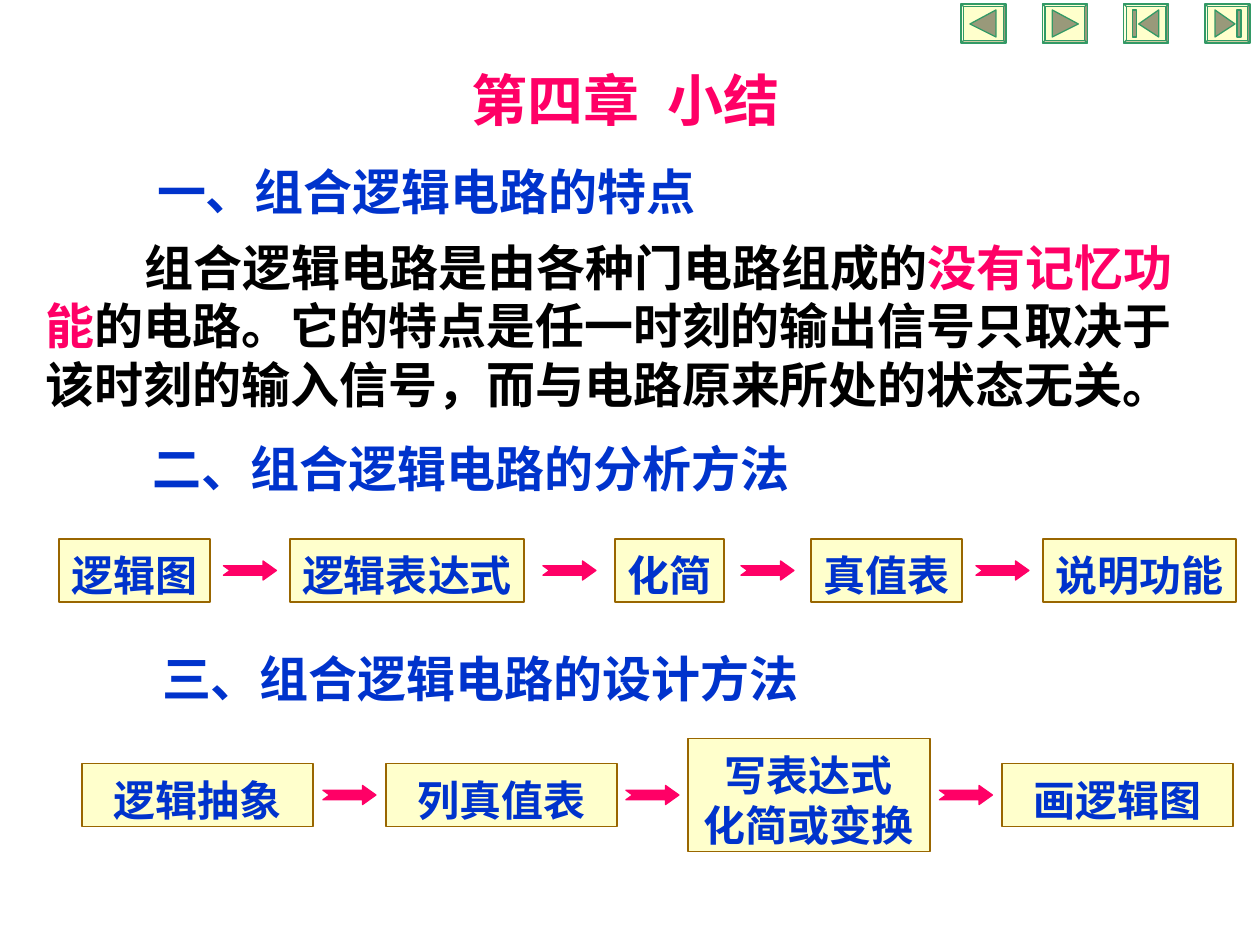
from collections import namedtuple

from lxml import etree
from pptx import Presentation
from pptx.dml.color import RGBColor
from pptx.enum.shapes import MSO_SHAPE
from pptx.enum.text import MSO_ANCHOR, PP_ALIGN
from pptx.oxml.ns import qn
from pptx.util import Emu, Pt

RECTANGLE = MSO_SHAPE.RECTANGLE
NOTCHED_ARROW = MSO_SHAPE.NOTCHED_RIGHT_ARROW
BEVEL = MSO_SHAPE.BEVEL
TOP = MSO_ANCHOR.TOP
LEFT, CENTER = PP_ALIGN.LEFT, PP_ALIGN.CENTER

SCALE = 914400 / 126
LATIN_FONT = "Times New Roman"
CHINESE_FONT = "Noto Sans CJK SC"
COLORS = {
    "pink": "FF0066",
    "blue": "0033CC",
    "black": "000000",
    "cream": "FFFFCC",
    "brown": "996600",
    "green": "339966",
    "glyph": "99997A",
}
Box = namedtuple("Box", "left top width height")


def px(length):
    return Emu(round(length * SCALE))


def color(name):
    return RGBColor.from_string(COLORS[name])


def paint(shape, fill, line):
    shape.shadow.inherit = False
    shape.fill.solid()
    shape.fill.fore_color.rgb = color(fill)
    shape.line.color.rgb = color(line)
    shape.line.width = Pt(0.75)


def add_preset(page, kind, box, fill, line):
    shape = page.shapes.add_shape(kind, *map(px, box))
    paint(shape, fill, line)
    return shape


def add_polygon(page, points, fill, line):
    corners = [(px(x), px(y)) for x, y in points]
    builder = page.shapes.build_freeform(*corners[0], scale=1.0)
    builder.add_line_segments(corners[1:], close=True)
    paint(builder.convert_to_shape(), fill, line)


def write(shape, paragraphs, size=28, ink="blue", font=LATIN_FONT, align=LEFT,
          wrap=True, inset_top=11, spacing=1.19, indent=0, tab=0):
    frame = shape.text_frame
    frame.word_wrap = wrap
    frame.vertical_anchor = TOP
    frame.margin_left = frame.margin_right = px(13)
    frame.margin_top, frame.margin_bottom = px(inset_top), px(1)
    for number, spans in enumerate(paragraphs):
        para = frame.add_paragraph() if number else frame.paragraphs[0]
        para.alignment = align
        if spacing:
            para.line_spacing = Pt(size * spacing)
        properties = para._p.get_or_add_pPr()
        if indent and number == 0:
            properties.set("indent", str(px(indent)))
        if tab:
            stops = etree.SubElement(properties, qn("a:tabLst"))
            etree.SubElement(stops, qn("a:tab"), pos=str(px(tab)), algn="l")
        for text, span_ink in spans:
            span = para.add_run()
            span.text = text
            span.font.size = Pt(size)
            span.font.bold = True
            span.font.name = font
            span.font.color.rgb = color(span_ink or ink)
            east_asian = etree.SubElement(span._r.get_or_add_rPr(), qn("a:ea"))
            east_asian.set("typeface", CHINESE_FONT)


def add_text(page, box, paragraphs, **style):
    write(page.shapes.add_textbox(*map(px, box)), paragraphs, **style)


def add_title(page, box):
    add_text(page, box, [[("第四章\t小结", None)]], size=32, ink="pink",
             font=CHINESE_FONT, inset_top=6, spacing=None, tab=196)


def add_heading(page, box, text):
    add_text(page, box, [[(text, None)]])


def add_summary(page, box):
    add_text(page, box, [
        [("组合逻辑电路是由各种门电路组成的", None), ("没有记忆功", "pink")],
        [("能", "pink"), ("的电路。它的特点是任一时刻的输出信号只取决于", None)],
        [("该时刻的输入信号，而与电路原来所处的状态无关。", None)],
    ], ink="black", indent=99)


def add_flow(page, box, steps):
    middle = box.top + box.height / 2
    previous_end = None
    for offset, width, lines in steps:
        left = box.left + offset
        height = 63 + 50 * (len(lines) - 1)
        step = add_preset(page, RECTANGLE,
                          Box(left, middle - height / 2, width, height),
                          "cream", "brown")
        write(step, [[(line, None)] for line in lines], size=24,
              align=CENTER, wrap=False)
        if previous_end is not None:
            center = (previous_end + left) / 2
            arrow = add_preset(page, NOTCHED_ARROW,
                               Box(center - 26.5, middle - 9.5, 53, 19),
                               "pink", "pink")
            arrow.adjustments[0], arrow.adjustments[1] = 0.5, 0.7
        previous_end = left + width


def add_navigation_button(page, box, forward, has_bar):
    frame = add_preset(page, BEVEL, box, "cream", "green")
    frame.adjustments[0] = 0.07
    tip = 15 if has_bar else 9
    glyphs = [[(tip, 20), (35, 6), (35, 33)]]
    if has_bar:
        glyphs.append([(9, 6), (13, 6), (13, 33), (9, 33)])
    for glyph in glyphs:
        points = [(box.left + (box.width - x if forward else x), box.top + y)
                  for x, y in glyph]
        add_polygon(page, points, "glyph", "green")


def add_navigation(page, box):
    buttons = [(False, False), (True, False), (False, True), (True, True)]
    width = 45
    pitch = (box.width - width) / (len(buttons) - 1)
    for index, (forward, has_bar) in enumerate(buttons):
        button = Box(box.left + index * pitch, box.top, width, box.height)
        add_navigation_button(page, button, forward, has_bar)


def main():
    deck = Presentation()
    deck.slide_width, deck.slide_height = px(1260), px(945)
    page = deck.slides.add_slide(deck.slide_layouts[6])
    add_title(page, Box(459, 60, 620, 88))
    add_heading(page, Box(144, 151, 976, 72), "一、组合逻辑电路的特点")
    add_summary(page, Box(33, 227, 1188, 189))
    add_heading(page, Box(140, 428, 976, 72), "二、组合逻辑电路的分析方法")
    add_flow(page, Box(59, 539, 1177, 63), [
        (0, 151, ["逻辑图"]),
        (231, 234, ["逻辑表达式"]),
        (556, 109, ["化简"]),
        (752, 151, ["真值表"]),
        (984, 193, ["说明功能"]),
    ])
    add_heading(page, Box(149, 638, 976, 72), "三、组合逻辑电路的设计方法")
    add_flow(page, Box(82, 738, 1151, 114), [
        (0, 231, ["逻辑抽象"]),
        (304, 231, ["列真值表"]),
        (606, 242, ["写表达式", "化简或变换"]),
        (920, 231, ["画逻辑图"]),
    ])
    add_navigation(page, Box(961, 4, 289, 39))
    deck.save("out.pptx")


if __name__ == "__main__":
    main()
